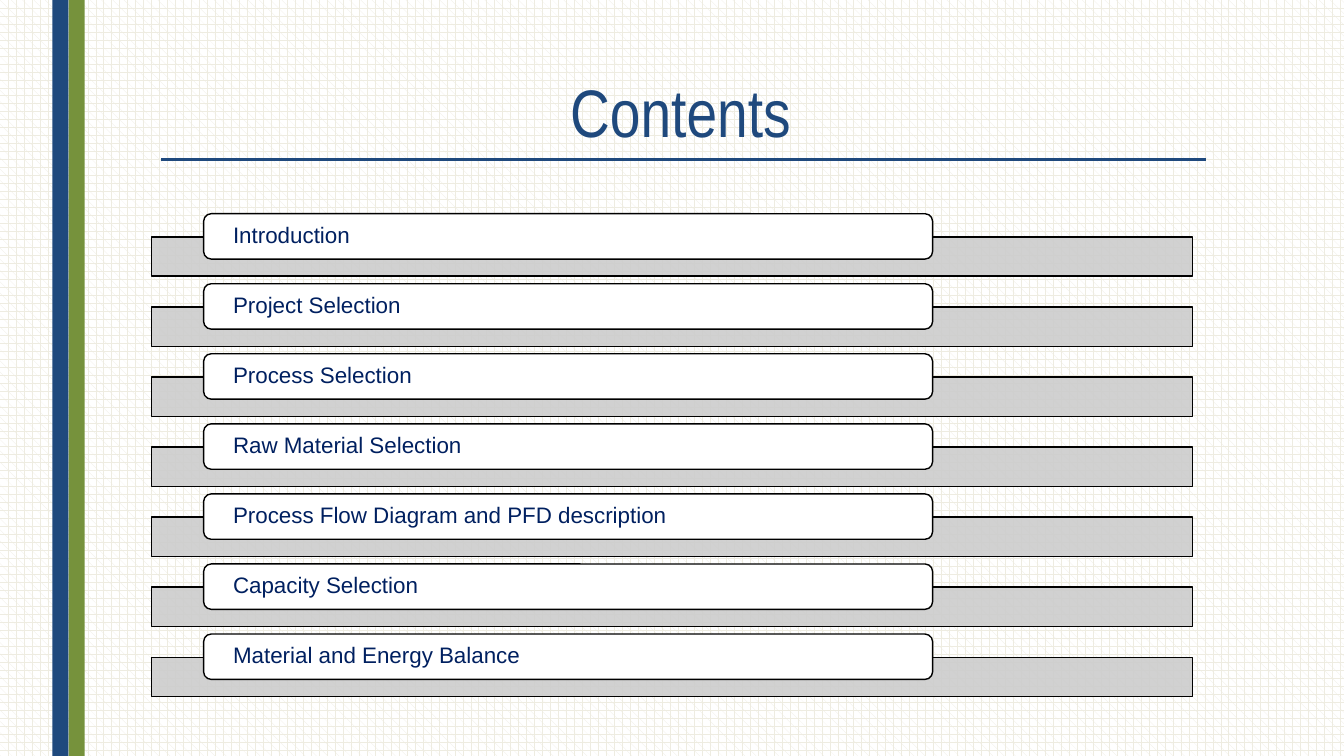
from lxml import etree
from pptx import Presentation
from pptx.dml.color import RGBColor
from pptx.enum.dml import MSO_PATTERN
from pptx.enum.shapes import MSO_CONNECTOR, MSO_SHAPE
from pptx.enum.text import MSO_ANCHOR, PP_ALIGN
from pptx.oxml.ns import qn
from pptx.util import Inches, Pt

RECTANGLE = MSO_SHAPE.RECTANGLE
ROUNDED = MSO_SHAPE.ROUNDED_RECTANGLE
NAVY = "1F497D"
GREEN = "76923C"
TOPICS = [
    "Introduction",
    "Project Selection",
    "Process Selection",
    "Raw Material Selection",
    "Process Flow Diagram and PFD description",
    "Capacity Selection",
    "Material and Energy Balance",
]
FIRST_TOP = 2.12
ROW_STEP = 0.695


def color(hex_value):
    return RGBColor.from_string(hex_value)


def add_box(kind, left, top, width, height, fill, line=None):
    shape = slide.shapes.add_shape(
        kind, Inches(left), Inches(top), Inches(width), Inches(height))
    shape.shadow.inherit = False
    shape.fill.solid()
    shape.fill.fore_color.rgb = color(fill)
    if line:
        shape.line.color.rgb = color(line)
        shape.line.width = Pt(1)
    else:
        shape.line.fill.background()
    return shape


presentation = Presentation()
presentation.slide_width = Inches(13.33)
presentation.slide_height = Inches(7.5)
slide = presentation.slides.add_slide(presentation.slide_layouts[6])

background = slide.background.fill
background.patterned()
background.pattern = MSO_PATTERN.PLAID
background.fore_color.rgb = color("EEECE1")
background.back_color.rgb = color("FFFFFF")

# Side stripes and title rule
add_box(RECTANGLE, 0.68, 0, 0.16, 7.5, GREEN)
add_box(RECTANGLE, 0.52, 0, 0.16, 7.5, NAVY)
rule = slide.shapes.add_connector(
    MSO_CONNECTOR.STRAIGHT, Inches(1.6), Inches(1.58), Inches(11.96), Inches(1.58))
rule.line.color.rgb = color(NAVY)
rule.line.width = Pt(2.25)
etree.SubElement(rule._element.spPr, qn("a:effectLst"))

# Title
title = slide.shapes.add_textbox(Inches(1.5), Inches(0.75), Inches(10.5), Inches(0.79))
title_frame = title.text_frame
title_frame.word_wrap = True
title_frame.vertical_anchor = MSO_ANCHOR.BOTTOM
title_frame.margin_bottom = Inches(0.03)
paragraph = title_frame.paragraphs[0]
paragraph.text = "Contents"
paragraph.alignment = PP_ALIGN.CENTER
paragraph.line_spacing = 0.89
paragraph.font.name = "Arial Narrow"
paragraph.font.size = Pt(48)
paragraph.font.color.rgb = color(NAVY)

# Topic list: a grey bar behind each white label
for row, topic in enumerate(TOPICS):
    top = FIRST_TOP + row * ROW_STEP
    bar = add_box(RECTANGLE, 1.5, top + 0.23, 10.33, 0.39, "CCCCCC", "000000")
    bar_color = bar._element.spPr.find(qn("a:solidFill"))[0]
    etree.SubElement(bar_color, qn("a:alpha"), val="90000")

    label = add_box(ROUNDED, 2.02, top, 7.23, 0.45, "FFFFFF", "000000")
    frame = label.text_frame
    frame.word_wrap = True
    frame.vertical_anchor = MSO_ANCHOR.MIDDLE
    frame.margin_left = frame.margin_right = Inches(0.27)
    frame.margin_top = frame.margin_bottom = 0
    paragraph = frame.paragraphs[0]
    paragraph.text = topic
    paragraph.alignment = PP_ALIGN.LEFT
    paragraph.line_spacing = 0.9
    paragraph.font.name = "Arial"
    paragraph.font.size = Pt(16)
    paragraph.font.color.rgb = color("002060")

presentation.save("out.pptx")
